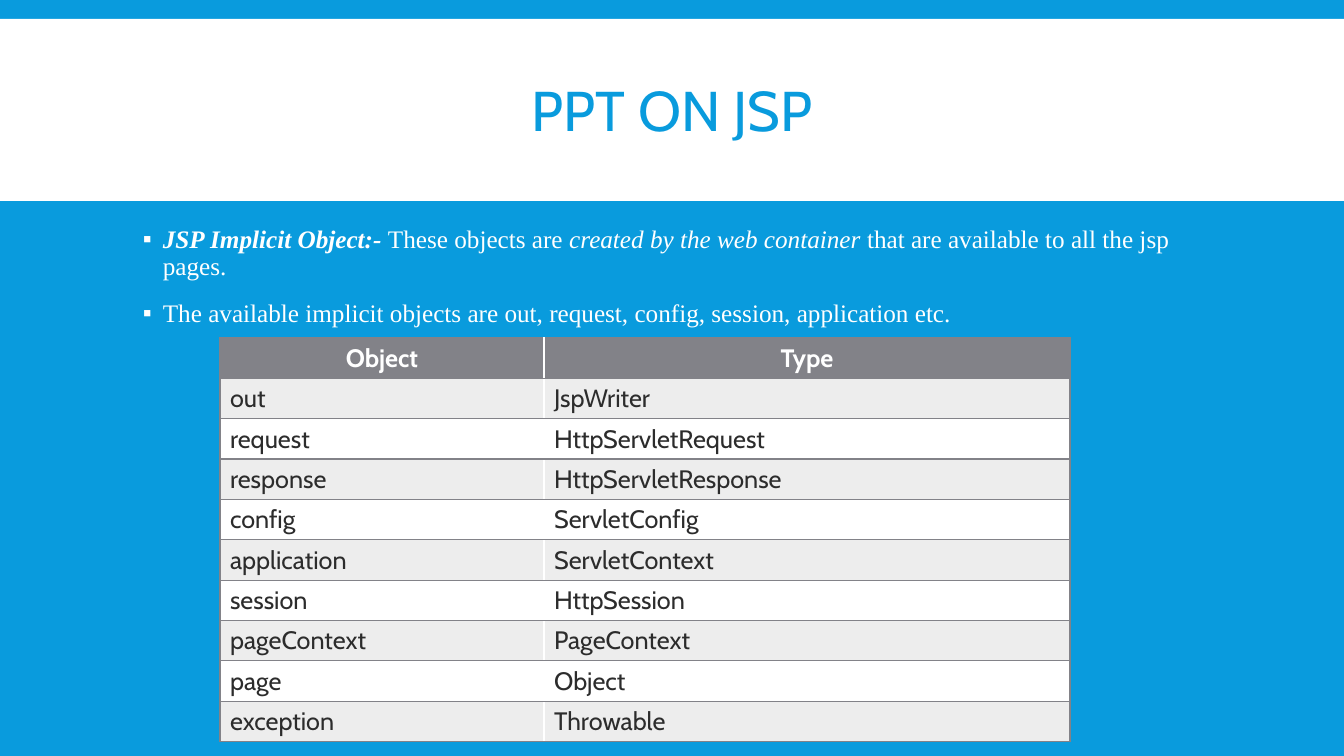
from typing import NamedTuple

from lxml import etree
from pptx import Presentation
from pptx.dml.color import RGBColor
from pptx.enum.shapes import MSO_SHAPE
from pptx.enum.text import MSO_ANCHOR, PP_ALIGN
from pptx.oxml.ns import qn
from pptx.util import Emu, Pt

EMU_PER_PX = 914400 / 100.8
COLORS = {"blue": "099BDD", "white": "FFFFFF", "gray": "828288",
          "stripe": "EDEDED", "ink": "2C2C2C"}
HEADING_FONT, BODY_FONT = "Cabin", "Times New Roman"


class Span(NamedTuple):
    text: str
    bold: bool = False
    italic: bool = False


class ImplicitObject(NamedTuple):
    name: str
    type_name: str


BULLETS = [
    [Span("JSP Implicit Object:- ", bold=True, italic=True),
     Span("These objects are\u00a0"),
     Span("created by the web container", italic=True),
     Span("\u00a0that are available to all the jsp pages.")],
    [Span("The available implicit objects are out, request, config, session, application etc.")],
]
HEADER = ImplicitObject("Object", "Type")
OBJECTS = [
    ImplicitObject("out", "JspWriter"),
    ImplicitObject("request", "HttpServletRequest"),
    ImplicitObject("response", "HttpServletResponse"),
    ImplicitObject("config", "ServletConfig"),
    ImplicitObject("application", "ServletContext"),
    ImplicitObject("session", "HttpSession"),
    ImplicitObject("pageContext", "PageContext"),
    ImplicitObject("page", "Object"),
    ImplicitObject("exception", "Throwable"),
]
COLUMN_WIDTHS = (324, 526)
ROW_HEIGHT = 40


def px(length: int) -> Emu:
    return Emu(round(length * EMU_PER_PX))


def rgb(name: str) -> RGBColor:
    return RGBColor.from_string(COLORS[name])


def paint(fill, color: str) -> None:
    fill.solid()
    fill.fore_color.rgb = rgb(color)


def add_run(paragraph, span: Span, font: str, size: int, color: str) -> None:
    run = paragraph.add_run()
    run.text = span.text
    run.font.name, run.font.size = font, Pt(size)
    run.font.bold, run.font.italic = span.bold, span.italic
    run.font.color.rgb = rgb(color)


def add_bullet(paragraph) -> None:
    props = paragraph._p.get_or_add_pPr()
    props.set("marL", str(px(20)))
    props.set("indent", str(-px(20)))
    color = etree.SubElement(props, qn("a:buClr"))
    etree.SubElement(color, qn("a:srgbClr"), val=COLORS["white"])
    etree.SubElement(props, qn("a:buFont"), typeface="Arial")
    etree.SubElement(props, qn("a:buChar"), char="▪")


def add_borders(cell, sides: tuple[str, ...]) -> None:
    props = cell._tc.get_or_add_tcPr()
    for position, side in enumerate(sides):
        line = etree.Element(qn(f"a:{side}"), w=str(Pt(1)))
        fill = etree.SubElement(line, qn("a:solidFill"))
        etree.SubElement(fill, qn("a:srgbClr"), val=COLORS["gray"])
        props.insert(position, line)


prs = Presentation()
prs.slide_width, prs.slide_height = px(1344), px(756)
slide = prs.slides.add_slide(prs.slide_layouts[5])
paint(slide.background.fill, "blue")

# White title band, behind the title
band = slide.shapes.add_shape(MSO_SHAPE.RECTANGLE, 0, px(19), px(1344), px(182))
band.shadow.inherit = False
paint(band.fill, "white")
band.line.fill.background()
slide.shapes._spTree.insert(2, band._element)

# Title
title = slide.shapes.title
title.left, title.top, title.width, title.height = px(133), px(31), px(1078), px(166)
title.text_frame.vertical_anchor = MSO_ANCHOR.MIDDLE
heading = title.text_frame.paragraphs[0]
heading.alignment = PP_ALIGN.CENTER
heading.line_spacing = 0.85
add_run(heading, Span("PPT ON JSP"), HEADING_FONT, 40, "blue")

# Bulleted text
body = slide.shapes.add_textbox(px(133), px(222), px(1078), px(464)).text_frame
body.word_wrap = True
for index, spans in enumerate(BULLETS):
    paragraph = body.add_paragraph() if index else body.paragraphs[0]
    paragraph.line_spacing = 0.9
    paragraph.space_before, paragraph.space_after = Pt(12), Pt(2)
    add_bullet(paragraph)
    for span in spans:
        add_run(paragraph, span, BODY_FONT, 18, "white")

# Table of implicit objects
rows = [HEADER, *OBJECTS]
table = slide.shapes.add_table(len(rows), len(COLUMN_WIDTHS), px(220), px(338),
                               px(sum(COLUMN_WIDTHS)), px(ROW_HEIGHT * len(rows))).table
for column, width in zip(table.columns, COLUMN_WIDTHS):
    column.width = px(width)
for r, entry in enumerate(rows):
    is_header = r == 0
    fill = "gray" if is_header else ("stripe" if r % 2 else "white")
    for c, text in enumerate(entry):
        cell = table.cell(r, c)
        paint(cell.fill, fill)
        add_borders(cell, ("lnR", "lnT", "lnB") if c else ("lnL", "lnT", "lnB"))
        paragraph = cell.text_frame.paragraphs[0]
        paragraph.alignment = PP_ALIGN.CENTER if is_header else PP_ALIGN.LEFT
        add_run(paragraph, Span(text, bold=is_header), HEADING_FONT, 18,
                "white" if is_header else "ink")

prs.save("out.pptx")
